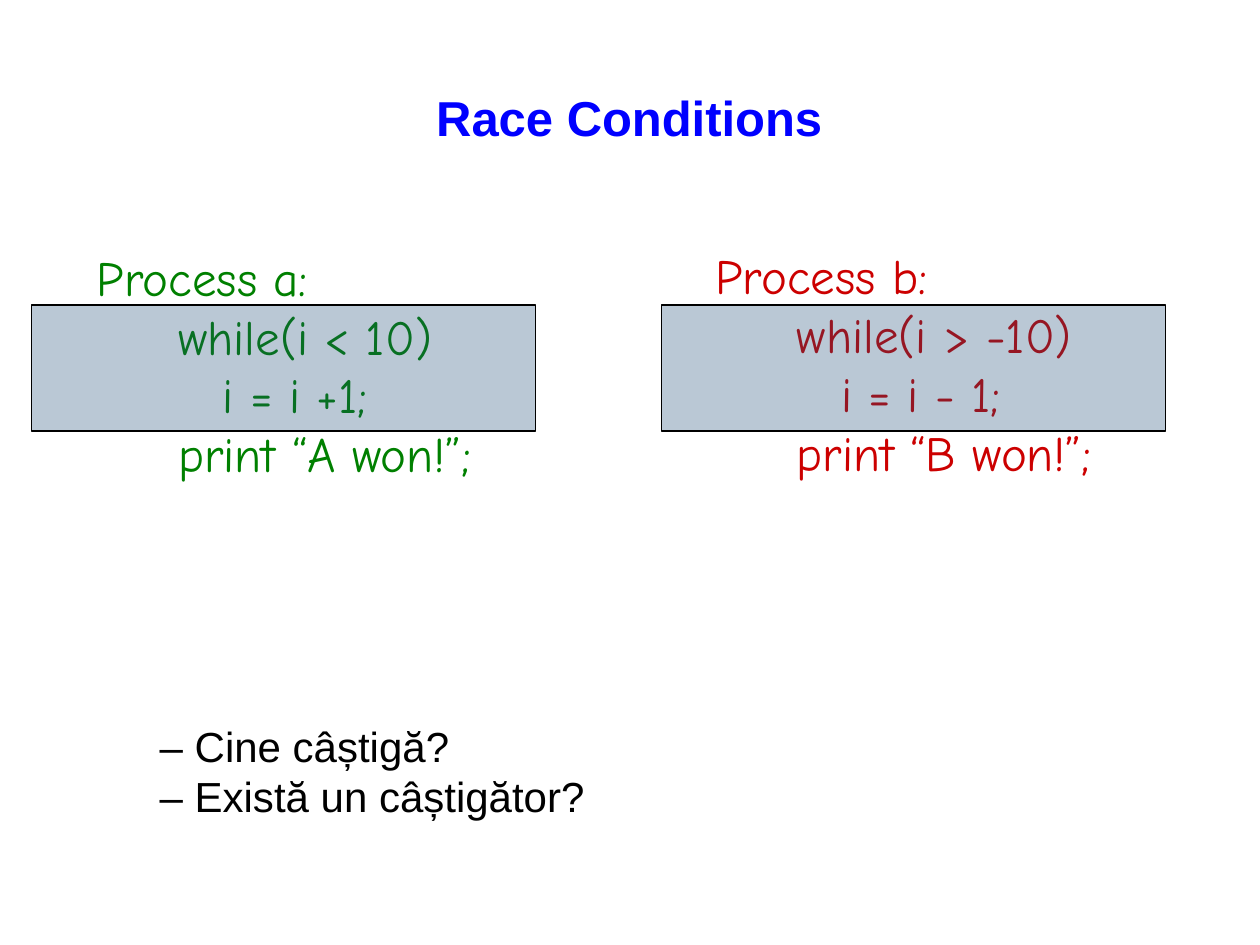
from lxml import etree
from pptx import Presentation
from pptx import util as u
from pptx.dml.color import RGBColor
from pptx.enum import shapes, text
from pptx.oxml.ns import qn

THEME = {
    "sans": "Arial", "code": "Comic Neue",
    "title": "0000FF", "a": "008000", "b": "CC0000", "body": "000000",
    "band": "1C4C74", "band_alpha": 30, "line": "000000",
    "large": 28, "small": 24,
}

TITLE = "Race Conditions"
# name, colour key, left and top of the code (cm), lines
PROCESSES = [
    ("b", 14.17, 4.83, ["Process b:", "     while(i > -10)", "\ti = i - 1;",
                        "     print “B won!”;"]),
    ("a", 1.70, 4.86, ["Process a:", "     while(i < 10)", "\ti = i +1;",
                       "     print “A won!”;"]),
]
QUESTIONS = ["– Cine câștigă?", "– Există un câștigător?"]

CODE_W, CODE_H, TAB = 9, 6.2, 2.54
BAND_X, BAND_STEP, BAND_Y, BAND_W, BAND_H = 0.64, 12.7, 6.15, 10.16, 2.54


def add_text(s, lines, x, y, w, h, *, font, size, color, bold=False,
             align=text.PP_ALIGN.LEFT, spacing=None, side=0.25, tab=None):
    sp = s.shapes.add_textbox(u.Cm(x), u.Cm(y), u.Cm(w), u.Cm(h))
    tf = sp.text_frame
    tf.word_wrap = True
    tf.margin_left = tf.margin_right = u.Cm(side)
    for i, line in enumerate(lines):
        p = tf.add_paragraph() if i else tf.paragraphs[0]
        p.alignment = align
        if spacing:
            p.line_spacing = spacing
        if tab:
            tabs = etree.SubElement(p._p.get_or_add_pPr(), qn("a:tabLst"))
            etree.SubElement(tabs, qn("a:tab"), pos=str(u.Cm(tab)), algn="l")
        r = p.add_run()
        r.text = line
        r.font.name, r.font.size, r.font.bold = font, u.Pt(size), bold
        r.font.color.rgb = RGBColor.from_string(color)


def add_band(s, x):
    """Draw the translucent bar that marks the loop of one process."""
    sp = s.shapes.add_shape(shapes.MSO_SHAPE.RECTANGLE, u.Cm(x), u.Cm(BAND_Y),
                            u.Cm(BAND_W), u.Cm(BAND_H))
    sp.shadow.inherit = False
    sp.fill.solid()
    sp.fill.fore_color.rgb = RGBColor.from_string(THEME["band"])
    color = sp._element.spPr.find(qn("a:solidFill"))[0]
    etree.SubElement(color, qn("a:alpha"), val=str(THEME["band_alpha"] * 1000))
    sp.line.color.rgb = RGBColor.from_string(THEME["line"])
    sp.line.width = u.Pt(0.75)


def main():
    prs = Presentation()
    prs.slide_width, prs.slide_height = u.Cm(25.4), u.Cm(19.05)
    s = prs.slides.add_slide(prs.slide_layouts[6])
    add_text(s, [TITLE], 0.86, 1.73, 23.65, 1.27, font=THEME["sans"],
             size=THEME["large"], color=THEME["title"], bold=True,
             align=text.PP_ALIGN.CENTER, spacing=0.95, side=0)
    for key, x, y, lines in PROCESSES:
        add_text(s, lines, x, y, CODE_W, CODE_H, font=THEME["code"],
                 size=THEME["large"], color=THEME[key], tab=TAB)
    add_text(s, QUESTIONS, 2.97, 14.4, 9.5, 2.31, font=THEME["sans"],
             size=THEME["small"], color=THEME["body"])
    for i in range(len(PROCESSES)):
        add_band(s, BAND_X + i * BAND_STEP)
    prs.save("out.pptx")


if __name__ == "__main__":
    main()
